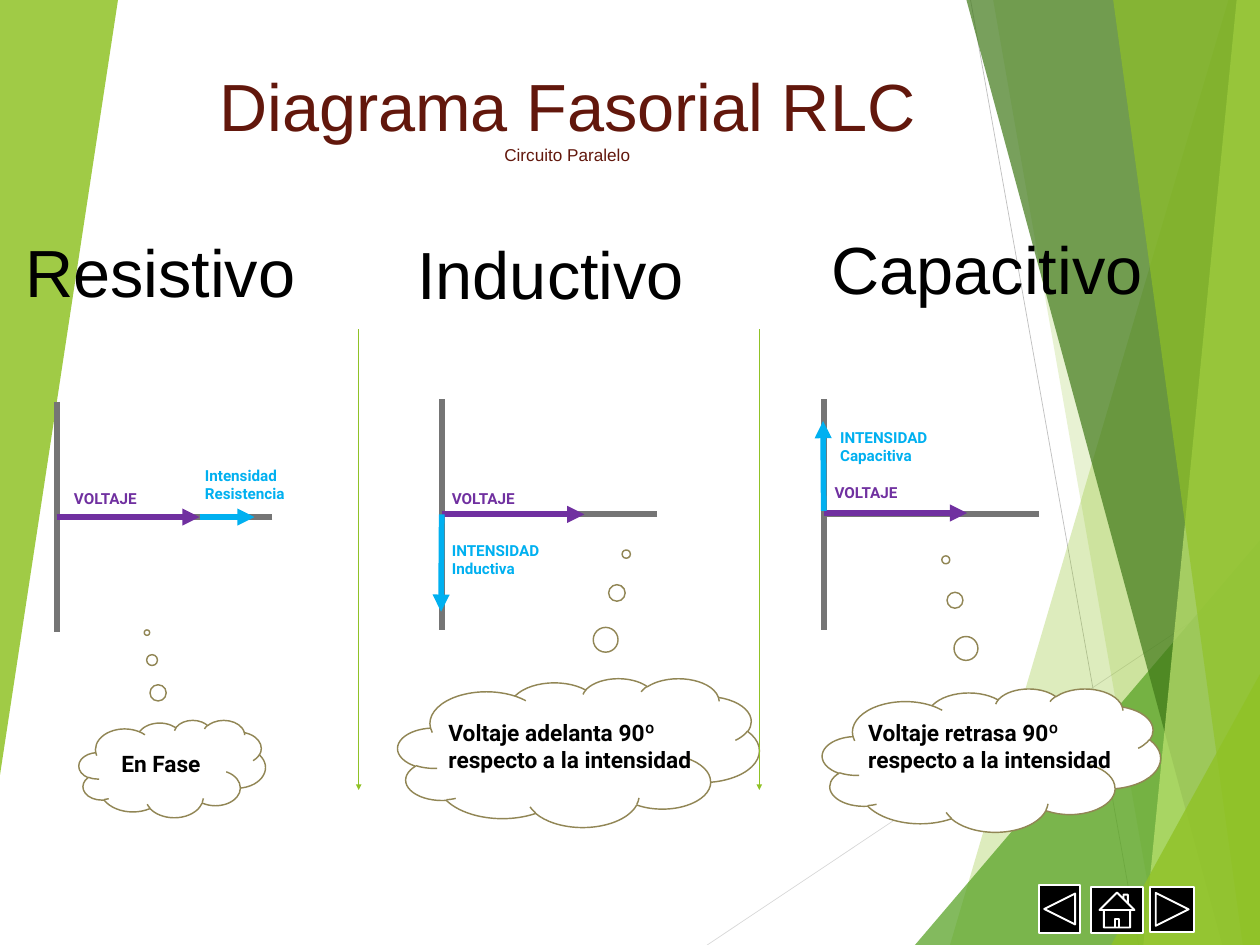
from dataclasses import dataclass

from lxml import etree
from pptx import Presentation
from pptx import util as u
from pptx.dml import color
from pptx.enum import shapes, text
from pptx.oxml import ns


@dataclass(frozen=True)
class Theme:
    lime: str = "90C226"
    green: str = "54A021"
    forest: str = "3F7818"
    pale: str = "BFE471"
    black: str = "000000"
    white: str = "FFFFFF"
    maroon: str = "62170C"
    cloud: str = "918655"
    axis: str = "757575"
    voltage: str = "7030A0"
    current: str = "00B0F0"
    ray_light: str = "D8D8D8"
    ray_dark: str = "BFBFBF"
    heading_font: str = "Arial"
    label_font: str = "Roboto"
    heading_size: float = 70
    subtitle_size: float = 18
    thought_size: float = 23.8
    label_size: float = 16


class PhasorSlide:
    def __init__(self, slide, theme):
        self.shapes = slide.shapes
        self.theme = theme

    def paint(self, shape, fill, line=None, width=1, opacity=100):
        shape.shadow.inherit = False
        shape.fill.solid()
        shape.fill.fore_color.rgb = color.RGBColor.from_string(fill)
        if opacity < 100:
            tint = shape.fill._xPr.find(".//" + ns.qn("a:srgbClr"))
            etree.SubElement(tint, ns.qn("a:alpha"), val=str(opacity * 1000))
        if line:
            shape.line.color.rgb = color.RGBColor.from_string(line)
            shape.line.width = u.Pt(width)
        else:
            shape.line.fill.background()

    def facet(self, points, fill, opacity):
        corners = [(u.Inches(x), u.Inches(y)) for x, y in points]
        outline = self.shapes.build_freeform(*corners[0], scale=1.0)
        outline.add_line_segments(corners[1:], close=True)
        self.paint(outline.convert_to_shape(), fill, opacity=opacity)

    def preset(self, kind, box, fill, line, width, adjustments=()):
        shape = self.shapes.add_shape(kind, *map(u.Inches, box))
        for index, value in enumerate(adjustments):
            shape.adjustments[index] = value
        self.paint(shape, fill, line, width)

    def line(self, start, end, tone, width, arrow=False):
        stroke = self.shapes.add_connector(
            shapes.MSO_CONNECTOR.STRAIGHT, *map(u.Inches, (*start, *end)))
        stroke.line.color.rgb = color.RGBColor.from_string(tone)
        stroke.line.width = u.Pt(width)
        if arrow:
            etree.SubElement(stroke.line._get_or_add_ln(), ns.qn("a:tailEnd"), type="triangle")
        etree.SubElement(stroke._element.spPr, ns.qn("a:effectLst"))

    def words(self, content, box, font, sizes, tone, bold=False, centred=False):
        frame = self.shapes.add_textbox(*map(u.Inches, box)).text_frame
        frame.word_wrap = True
        frame.auto_size = text.MSO_AUTO_SIZE.SHAPE_TO_FIT_TEXT
        frame.text = content
        for index, paragraph in enumerate(frame.paragraphs):
            if centred:
                paragraph.alignment = text.PP_ALIGN.CENTER
            for run in paragraph.runs:
                run.font.name = font
                run.font.size = u.Pt(sizes[min(index, len(sizes) - 1)])
                run.font.bold = bold
                run.font.color.rgb = color.RGBColor.from_string(tone)

    def heading(self, content, box, tone):
        theme = self.theme
        self.words(content, box, theme.heading_font,
                   (theme.heading_size, theme.subtitle_size), tone, centred=True)

    def label(self, content, box, tone):
        self.words(content, box, self.theme.label_font, (self.theme.label_size,), tone, bold=True)

    def thought(self, content, box, cloud, pointer):
        theme = self.theme
        self.preset(shapes.MSO_SHAPE.CLOUD_CALLOUT, cloud, theme.white, theme.cloud, 1.5, pointer)
        self.words(content, box, theme.label_font, (theme.thought_size,), theme.black, bold=True)

    def axes(self, x, y):
        self.line((x, y - 1.68), (x, y + 1.68), self.theme.axis, 6)
        self.line((x + 3.14, y), (x, y), self.theme.axis, 6)

    def phasor(self, start, end, tone):
        self.line(start, end, tone, 6, arrow=True)


@dataclass
class Circuit:
    name: str
    name_box: tuple
    origin: tuple
    voltage_start: tuple
    voltage_label: tuple
    current: tuple
    current_text: str
    current_label: tuple
    thought: str
    thought_box: tuple
    cloud: tuple
    pointer: tuple


WIDTH, HEIGHT = 18.37, 13.78

CIRCUITS = [
    Circuit("Resistivo", (0.19, 3.31, 4.29, 1.28), (0.83, 7.54), (0.83, 7.54), (0.98, 7.08),
            ((2.91, 7.54), (3.71, 7.54)), "Intensidad\nResistencia", (2.89, 6.75),
            "En Fase", (1.67, 10.89, 3.65, 0.5), (1.15, 10.5, 2.72, 1.42), (-0.135, -1.398)),
    Circuit("Inductivo", (5.8, 3.34, 4.46, 1.28), (6.44, 7.5), (6.44, 7.5), (6.49, 7.08),
            ((6.44, 7.5), (6.43, 8.92)), "INTENSIDAD\nInductiva", (6.49, 7.84),
            "Voltaje adelanta 90º respecto a la intensidad", (6.44, 10.43, 4.26, 0.9),
            (5.8, 9.89, 5.27, 2.17), (0.132, -1.334)),
    Circuit("Capacitivo", (11.86, 3.28, 5.06, 1.28), (12.01, 7.5), (12.02, 7.48), (12.07, 7),
            ((12.01, 7.45), (12, 6.14)), "INTENSIDAD\nCapacitiva", (12.15, 6.19),
            "Voltaje retrasa 90º respecto a la intensidad", (12.56, 10.43, 3.98, 0.9),
            (11.99, 10.04, 4.93, 2.09), (-0.135, -1.398)),
]


def main():
    deck = Presentation()
    deck.slide_width, deck.slide_height = u.Inches(WIDTH), u.Inches(HEIGHT)
    theme = Theme()
    page = PhasorSlide(deck.slides.add_slide(deck.slide_layouts[6]), theme)

    page.line((10.31, HEIGHT), (WIDTH, 8.4), theme.ray_light, 0.75)
    page.line((14.15, 0), (16.6, HEIGHT), theme.ray_dark, 0.75)

    right_facets = [
        (17.91, 0, 13.85, theme.lime, 30),
        (14.48, 0, 16.89, theme.lime, 20),
        (WIDTH, 7.88, 13.34, theme.green, 72),
        (14.09, 0, 17.82, theme.forest, 70),
        (18.03, 0, 16.67, theme.pale, 70),
        (16.23, 0, 18.12, theme.lime, 65),
        (WIDTH, 9.83, 16.2, theme.lime, 80),
    ]
    for top_x, top_y, bottom_x, fill, opacity in right_facets:
        page.facet([(top_x, top_y), (bottom_x, HEIGHT), (WIDTH, HEIGHT), (WIDTH, top_y)],
                   fill, opacity)
    page.facet([(0, 0), (1.72, 0), (0, 11.3)], theme.lime, 85)

    for circuit in CIRCUITS:
        page.thought(circuit.thought, circuit.thought_box, circuit.cloud, circuit.pointer)
        page.heading(circuit.name, circuit.name_box, theme.black)
        page.axes(*circuit.origin)
        x, y = circuit.voltage_start
        page.phasor((x, y), (x + 2.08, y), theme.voltage)
        page.phasor(*circuit.current, theme.current)
        page.label("VOLTAJE", (*circuit.voltage_label, 3.65, 0.37), theme.voltage)
        page.label(circuit.current_text, (*circuit.current_label, 1.57, 0.64), theme.current)

    for divider in (5.23, 11.07):
        page.line((divider, 4.8), (divider, 11.52), theme.lime, 1, arrow=True)

    page.heading("Diagrama Fasorial RLC\nCircuito Paralelo", (2.91, 0.89, 10.72, 1.58), theme.maroon)

    buttons = [
        (shapes.MSO_SHAPE.ACTION_BUTTON_HOME, (15.9, 12.93, 0.77, 0.68)),
        (shapes.MSO_SHAPE.ACTION_BUTTON_FORWARD_OR_NEXT, (16.77, 12.93, 0.64, 0.66)),
        (shapes.MSO_SHAPE.ACTION_BUTTON_BACK_OR_PREVIOUS, (15.15, 12.91, 0.6, 0.69)),
    ]
    for button, box in buttons:
        page.preset(button, box, theme.black, theme.white, 2)

    deck.save("out.pptx")


if __name__ == "__main__":
    main()
